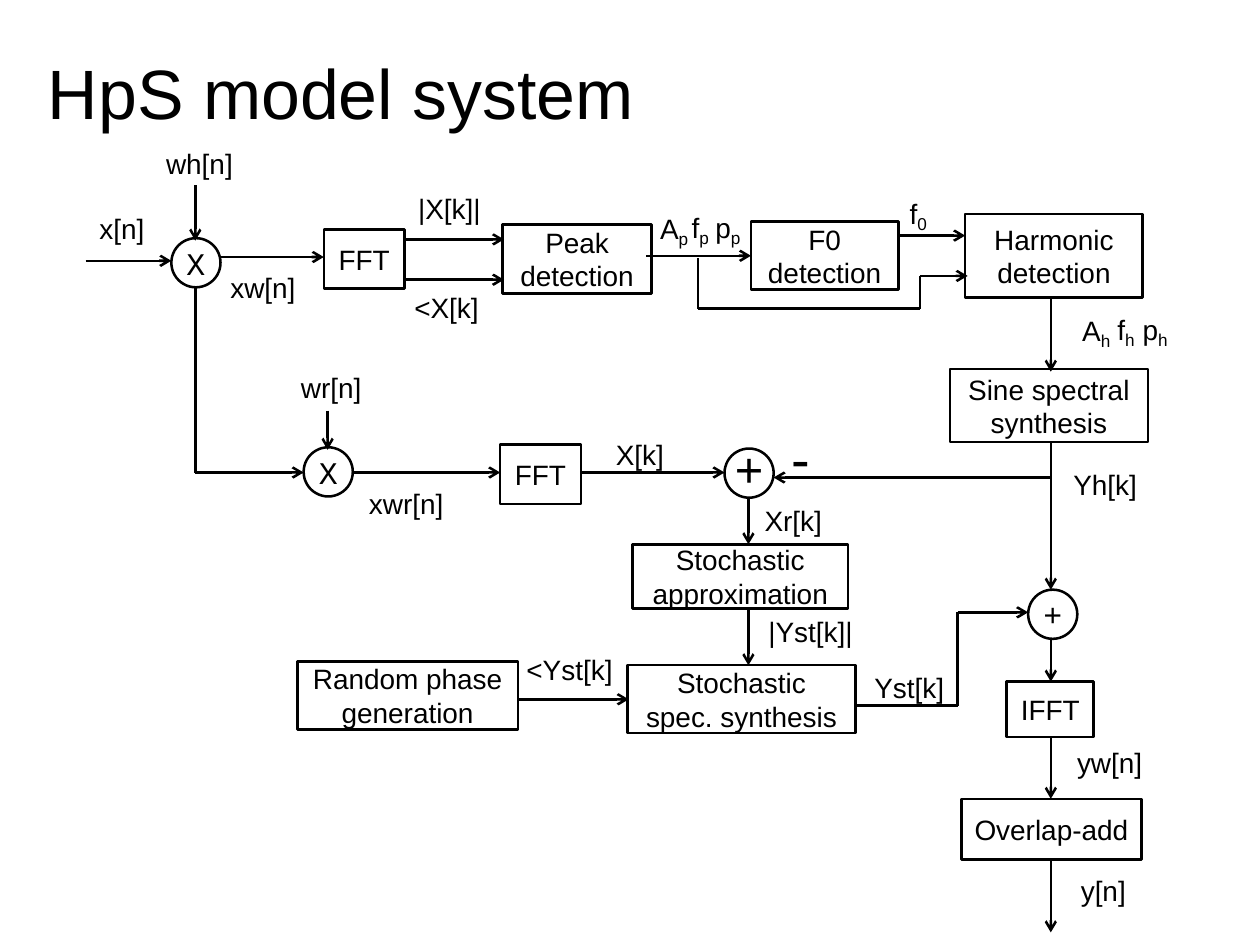
from lxml import etree
from pptx import Presentation, util as u
from pptx.dml.color import RGBColor
from pptx.enum import shapes, text
from pptx.oxml import ns

BLACK = RGBColor(0, 0, 0)
FACE = "Arial"
MONO = "Courier New"


class Chart:
    def __init__(self, slide, size=16, line=1.45):
        self.slide = slide
        self.size = size
        self.line = line

    def add_run(self, para, words, size, face=FACE):
        run = para.add_run()
        run.text = words
        run.font.size = u.Pt(size)
        run.font.name = face
        run.font.color.rgb = BLACK
        return run

    def title(self, words, left, top, wide, high):
        box = self.slide.shapes.add_textbox(*map(u.Inches, (left, top, wide, high)))
        frame = box.text_frame
        frame.word_wrap = True
        frame.vertical_anchor = text.MSO_ANCHOR.MIDDLE
        self.inset(frame, 0)
        self.add_run(frame.paragraphs[0], words, 39.9)

    def inset(self, frame, gap):
        frame.margin_left = frame.margin_right = u.Inches(gap)
        frame.margin_top = frame.margin_bottom = u.Inches(gap / 2)

    def label(self, words, left, top, wide, high=0.41, sub=None, size=None):
        box = self.slide.shapes.add_textbox(*map(u.Inches, (left, top, wide, high)))
        frame = box.text_frame
        frame.word_wrap = False
        frame.auto_size = text.MSO_AUTO_SIZE.SHAPE_TO_FIT_TEXT
        para = frame.paragraphs[0]
        self.add_run(para, words, size or self.size)
        if sub:
            run = self.add_run(para, sub, 16.8)
            run.font._element.set("baseline", "-20000")

    def shape(self, kind, left, top, wide, high):
        shape = self.slide.shapes.add_shape(kind, *map(u.Inches, (left, top, wide, high)))
        shape.shadow.inherit = False
        shape.fill.background()
        shape.line.color.rgb = BLACK
        shape.line.width = u.Pt(self.line)
        shape.text_frame.vertical_anchor = text.MSO_ANCHOR.MIDDLE
        return shape.text_frame

    def block(self, lines, left, top, wide, high):
        frame = self.shape(shapes.MSO_SHAPE.RECTANGLE, left, top, wide, high)
        frame.word_wrap = True
        self.inset(frame, 0.1)
        for i, words in enumerate(lines.split("\n")):
            para = frame.add_paragraph() if i else frame.paragraphs[0]
            para.alignment = text.PP_ALIGN.CENTER
            self.add_run(para, words, self.size)

    def node(self, sign, left, top, face=MONO, size=18, space=None):
        frame = self.shape(shapes.MSO_SHAPE.OVAL, left, top, 0.39, 0.39)
        frame.word_wrap = False
        self.inset(frame, 0)
        para = frame.paragraphs[0]
        para.alignment = text.PP_ALIGN.CENTER
        para.line_spacing = space
        self.add_run(para, sign, size, face)

    def wire(self, *spots, arrow=True):
        for start, end in zip(spots, spots[1:]):
            wire = self.slide.shapes.add_connector(
                shapes.MSO_CONNECTOR.STRAIGHT, *map(u.Inches, start + end))
            wire.line.color.rgb = BLACK
            wire.line.width = u.Pt(self.line)
            if arrow and end == spots[-1]:
                etree.SubElement(wire.line._get_or_add_ln(), ns.qn("a:tailEnd"), type="arrow")
            etree.SubElement(wire._element.spPr, ns.qn("a:effectLst"))


def main():
    deck = Presentation()
    deck.slide_width = u.Inches(10)
    deck.slide_height = u.Inches(7.5)
    chart = Chart(deck.slides.add_slide(deck.slide_layouts[6]))

    chart.title("HpS model system", 0.38, 0.1, 9, 1.25)

    for block in (
        ("FFT", 2.57, 1.82, 0.64, 0.47),
        ("Peak detection", 3.99, 1.78, 1.18, 0.55),
        ("F0\ndetection", 5.96, 1.76, 1.17, 0.54),
        ("Harmonic\ndetection", 7.66, 1.7, 1.41, 0.66),
        ("Sine spectral\nsynthesis", 7.54, 2.93, 1.57, 0.58),
        ("FFT", 3.97, 3.53, 0.64, 0.47),
        ("Stochastic approximation", 5.02, 4.32, 1.71, 0.51),
        ("Random phase generation", 2.36, 5.25, 1.75, 0.54),
        ("Stochastic spec. synthesis", 4.98, 5.28, 1.81, 0.54),
        ("IFFT", 7.99, 5.41, 0.69, 0.44),
        ("Overlap-add", 7.63, 6.34, 1.43, 0.48),
    ):
        chart.block(*block)

    chart.node("X", 1.36, 1.89)
    chart.node("X", 2.41, 3.55)
    chart.node("+", 5.75, 3.56, FACE, 27.9, 0.8)
    chart.node("+", 8.16, 4.68)

    for spots in (
        ((0.68, 2.07), (1.36, 2.07)),
        ((1.55, 1.47), (1.55, 1.91)),
        ((1.75, 2.04), (2.57, 2.04)),
        ((3.21, 1.9), (4, 1.9)),
        ((3.21, 2.22), (4, 2.22)),
        ((5.13, 2.03), (5.96, 2.03)),
        ((7.13, 1.87), (7.66, 1.87)),
        ((5.54, 2.05), (5.54, 2.45), (7.3, 2.45), (7.3, 2.19), (7.68, 2.19)),
        ((8.34, 2.37), (8.34, 2.95)),
        ((1.55, 2.28), (1.55, 3.75), (2.41, 3.75)),
        ((2.6, 3.26), (2.6, 3.57)),
        ((2.8, 3.75), (3.97, 3.75)),
        ((4.61, 3.75), (5.75, 3.75)),
        ((8.34, 3.79), (6.14, 3.79)),
        ((8.34, 3.5), (8.34, 4.68)),
        ((5.94, 3.95), (5.94, 4.32)),
        ((5.94, 4.83), (5.94, 5.28)),
        ((4.11, 5.55), (4.99, 5.55)),
        ((6.8, 5.6), (7.6, 5.6), (7.6, 4.86), (8.16, 4.86)),
        ((8.34, 5.08), (8.34, 5.41)),
        ((8.34, 5.86), (8.34, 6.34)),
        ((8.34, 6.83), (8.34, 7.4)),
    ):
        chart.wire(*spots)

    for label in (
        ("wh[n]", 1.22, 1.11, 0.86),
        ("x[n]", 0.69, 1.63, 0.65),
        ("xw[n]", 1.73, 2.1, 0.84),
        ("|X[k]|", 3.22, 1.47, 0.82),
        ("<X[k]", 3.19, 2.26, 0.84),
        ("wr[n]", 2.29, 2.89, 0.8),
        ("xwr[n]", 2.83, 3.81, 0.93),
        ("X[k]", 4.79, 3.42, 0.84),
        ("Xr[k]", 5.97, 3.95, 0.84),
        ("Yh[k]", 8.42, 3.66, 0.83),
        ("|Yst[k]|", 6, 4.83, 1.03),
        ("<Yst[k]", 4.08, 5.13, 1.05),
        ("Yst[k]", 6.84, 5.27, 0.89),
        ("yw[n]", 8.45, 5.87, 0.86),
        ("y[n]", 8.48, 6.88, 0.66),
    ):
        chart.label(*label)
    chart.label("-", 6.18, 3.31, 0.53, 0.64, size=32)

    for words, sub, left, top, wide in (
        ("A", "p", 5.14, 1.62, 0.48),
        ("f", "p", 5.39, 1.61, 0.38),
        ("p", "p", 5.58, 1.61, 0.45),
        ("f", "0", 7.12, 1.5, 0.38),
        ("A", "h", 8.49, 2.43, 0.48),
        ("f", "h", 8.77, 2.42, 0.38),
        ("p", "h", 8.97, 2.42, 0.45),
    ):
        chart.label(words, left, top, wide, 0.44, sub)

    deck.save("out.pptx")


if __name__ == "__main__":
    main()
